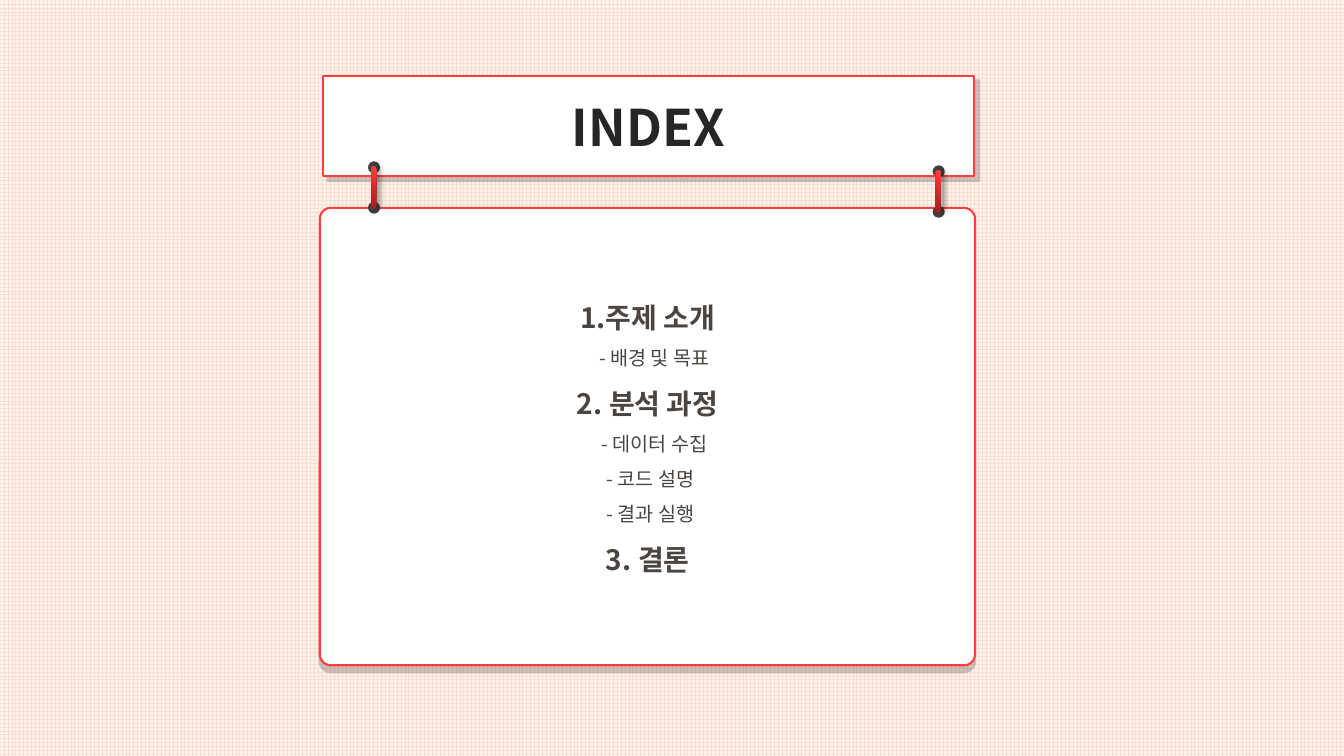
from lxml.etree import SubElement
from pptx import Presentation
from pptx.dml.color import RGBColor
from pptx.enum.dml import MSO_PATTERN
from pptx.enum.shapes import MSO_SHAPE
from pptx.enum.text import MSO_ANCHOR, PP_ALIGN
from pptx.oxml.ns import qn
from pptx.util import Emu, Inches, Pt

FONT = "Noto Sans CJK KR"
WHITE = RGBColor(0xFF, 0xFF, 0xFF)
CREAM = RGBColor(0xFF, 0xF2, 0xE9)
GRID_PINK = RGBColor(0xF7, 0xDE, 0xD3)
RED = RGBColor(0xFF, 0x3F, 0x3F)
DARK_RED = RGBColor(0xA0, 0x1D, 0x1D)
PEG_GRAY = RGBColor(0x40, 0x40, 0x40)
TITLE_INK = RGBColor(0x26, 0x26, 0x26)
LIST_INK = RGBColor(0x4B, 0x45, 0x41)

WIDTH, HEIGHT = Inches(13.33), Inches(7.5)
SIGN = (0.24, 0.1, 0.485, 0.133)
BOARD = (0.238, 0.275, 0.4875, 0.605)
AGENDA = (0.31, 0.369, 0.344, 0.416)
HINGES = [(3.71, 1.6), (9.31, 1.64)]
PEG = 0.12

ENTRIES = [
    ("주제 소개", 20, 0),
    ("- 배경 및 목표", 14, 0.13),
    ("2. 분석 과정", 20, 0),
    ("- 데이터 수집", 14, 0.13),
    ("- 코드 설명", 14, 0.05),
    ("- 결과 실행", 14, 0.05),
    ("3. 결론", 20, 0),
]


def share(box):
    return [Emu(round(part * side)) for part, side in zip(box, (WIDTH, HEIGHT) * 2)]


def cast_shadow(shape, alpha, blur, distance, angle):
    effects = shape._element.spPr.get_or_add_effectLst() if hasattr(
        shape._element.spPr, "get_or_add_effectLst"
    ) else SubElement(shape._element.spPr, qn("a:effectLst"))
    shadow = SubElement(
        effects, qn("a:outerShdw"), blurRad=str(Pt(blur)), dist=str(Pt(distance)),
        dir=str(angle * 60000), algn="tl", rotWithShape="0",
    )
    color = SubElement(shadow, qn("a:srgbClr"), val="000000")
    SubElement(color, qn("a:alpha"), val=str(alpha * 1000))


def style_card(card, angle):
    card.fill.solid()
    card.fill.fore_color.rgb = WHITE
    card.line.color.rgb = RED
    card.line.width = Pt(1.5)
    cast_shadow(card, 20, 0, 5, angle)


def style_run(run, size, color, bold):
    run.font.name = FONT
    run.font.size = Pt(size)
    run.font.bold = bold
    run.font.color.rgb = color
    SubElement(run._r.get_or_add_rPr(), qn("a:ea"), typeface=FONT)


def add_sign(slide):
    sign = slide.shapes.title
    sign.left, sign.top, sign.width, sign.height = share(SIGN)
    outline = SubElement(sign._element.spPr, qn("a:prstGeom"), prst="roundRect")
    guides = SubElement(outline, qn("a:avLst"))
    SubElement(guides, qn("a:gd"), name="adj", fmla="val 7000")
    style_card(sign, 45)
    sign.text_frame.text = "INDEX"
    sign.text_frame.vertical_anchor = MSO_ANCHOR.MIDDLE
    heading = sign.text_frame.paragraphs[0]
    heading.alignment = PP_ALIGN.CENTER
    style_run(heading.runs[0], 36, TITLE_INK, True)


def add_pill(shapes, left, top, width, height):
    pill = shapes.add_shape(
        MSO_SHAPE.ROUNDED_RECTANGLE, *map(Inches, (left, top, width, height)))
    pill.adjustments[0] = 0.5
    pill.shadow.inherit = False
    pill.line.fill.background()
    return pill


def add_board(slide):
    board = slide.shapes.add_shape(MSO_SHAPE.ROUNDED_RECTANGLE, *share(BOARD))
    board.adjustments[0] = 0.024
    board.shadow.inherit = False
    board._element.spPr.remove(board._element.spPr.find(qn("a:effectLst")))
    style_card(board, 90)


def add_hinge(slide, center, top):
    hinge = slide.shapes.add_group_shape()
    for drop in (0.4, 0):
        peg = add_pill(hinge.shapes, center - PEG / 2, top + drop, PEG, PEG)
        peg.fill.solid()
        peg.fill.fore_color.rgb = PEG_GRAY
    rod = add_pill(hinge.shapes, center - 0.03, top + 0.05, 0.05, 0.42)
    rod._element.spPr.remove(rod._element.spPr.find(qn("a:effectLst")))
    rod.fill.gradient()
    rod.fill.gradient_angle = 45
    for stop, color in zip(rod.fill.gradient_stops, (DARK_RED, RED)):
        stop.color.rgb = color
    cast_shadow(rod, 40, 4, 3, 0)


def add_agenda(slide):
    frame = slide.shapes.add_textbox(*share(AGENDA)).text_frame
    frame.word_wrap = True
    for index, (wording, size, indent) in enumerate(ENTRIES):
        entry = frame.add_paragraph() if index else frame.paragraphs[0]
        entry.text = wording
        entry.alignment = PP_ALIGN.CENTER
        entry.line_spacing = 1.5
        entry._p.get_or_add_pPr().set("marL", str(Inches(indent)))
        style_run(entry.runs[0], size, LIST_INK, size == 20)
    numbering = frame.paragraphs[0]._p.get_or_add_pPr()
    numbering.set("marL", str(Inches(0.25)))
    numbering.set("indent", str(-Inches(0.25)))
    SubElement(numbering, qn("a:buFont"), typeface=FONT)
    SubElement(numbering, qn("a:buAutoNum"), type="arabicPeriod")


def main():
    deck = Presentation()
    deck.slide_width, deck.slide_height = WIDTH, HEIGHT
    slide = deck.slides.add_slide(deck.slide_layouts[5])
    backdrop = slide.background.fill
    backdrop.patterned()
    backdrop.pattern = MSO_PATTERN.LARGE_GRID
    backdrop.fore_color.rgb = GRID_PINK
    backdrop.back_color.rgb = CREAM
    add_sign(slide)
    add_board(slide)
    for center, top in HINGES:
        add_hinge(slide, center, top)
    add_agenda(slide)
    deck.save("out.pptx")


if __name__ == "__main__":
    main()
